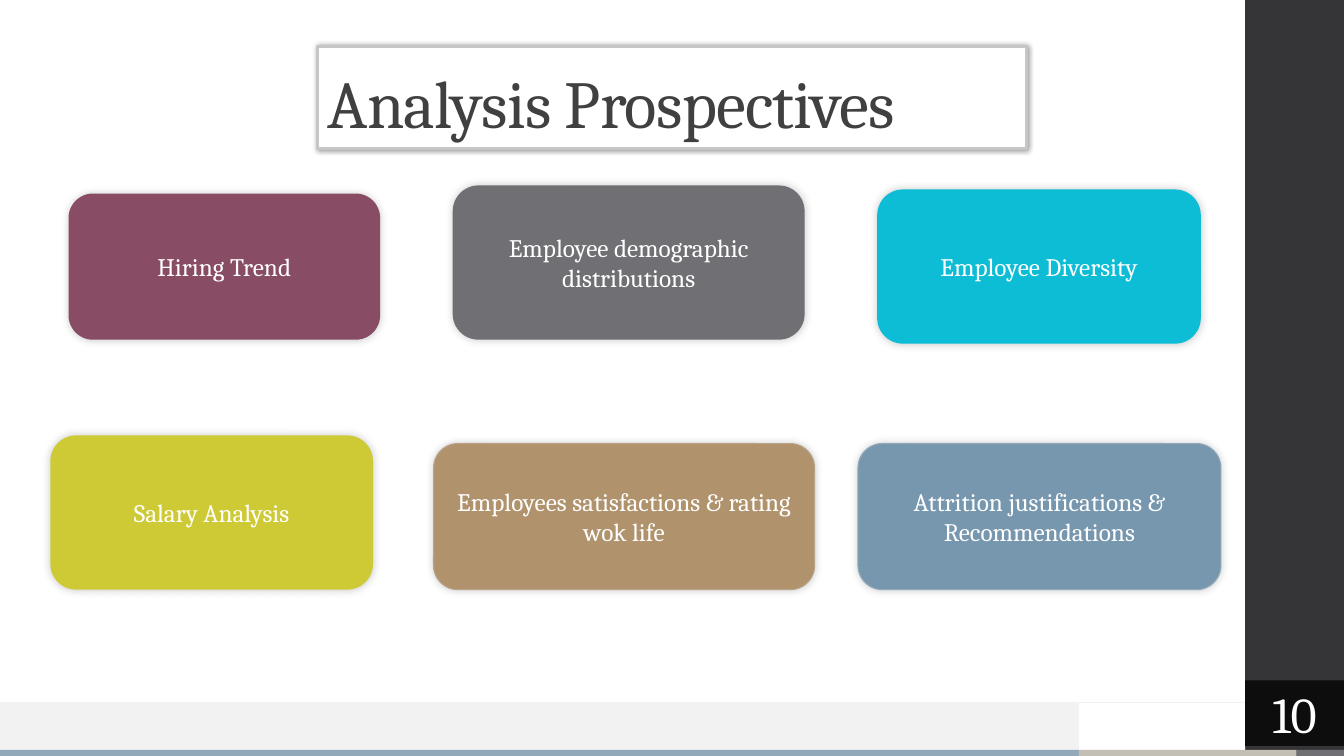
from lxml import etree
from pptx import Presentation, util as u
from pptx.dml.color import RGBColor
from pptx.enum import shapes, text
from pptx.oxml.ns import qn

COLS, ROWS = 133.3, 75  # grid cells of a tenth of an inch
LEFT, CENTER = text.PP_ALIGN.LEFT, text.PP_ALIGN.CENTER
MIDDLE, BOTTOM = text.MSO_ANCHOR.MIDDLE, text.MSO_ANCHOR.BOTTOM


def rgb(color):
    return RGBColor.from_string(color)


def write(p, words, size=18, color="FFFFFF", align=CENTER, leading=None, tracking=0):
    """Add formatted text to a paragraph."""
    p.alignment = align
    if leading:
        p.line_spacing = leading
    r = p.add_run()
    r.text = words
    f = r.font
    f.name, f.size = "Cambria", u.Pt(size)
    f.color.rgb = rgb(color)
    if tracking:
        r._r.get_or_add_rPr().set("spc", str(round(tracking * 100)))


class Deck:
    """Slide style and the current slide."""

    def __init__(self):
        self.prs = Presentation()
        self.prs.slide_width, self.prs.slide_height = u.Inches(13.33), u.Inches(7.5)
        self.s = self.prs.slides.add_slide(self.prs.slide_layouts[5])

    def x(self, cols):
        return round(self.prs.slide_width * cols / COLS)

    def y(self, rows):
        return round(self.prs.slide_height * rows / ROWS)

    def box(self, col, row, w, h):
        return self.x(col), self.y(row), self.x(w), self.y(h)

    def glow(self, sp, alpha, blur):
        """Soft shadow on all sides."""
        spPr = sp._element.spPr
        for old in spPr.findall(qn("a:effectLst")):
            spPr.remove(old)
        effects = etree.SubElement(spPr, qn("a:effectLst"))
        shadow = etree.SubElement(effects, qn("a:outerShdw"), blurRad=str(u.Pt(blur)),
                                  dist="0", dir="18900000", rotWithShape="0")
        clr = etree.SubElement(shadow, qn("a:srgbClr"), val="000000")
        etree.SubElement(clr, qn("a:alpha"), val=str(alpha * 1000))

    def title(self, words, *cells):
        sp = self.s.shapes.title
        sp.left, sp.top, sp.width, sp.height = self.box(*cells)
        sp.fill.solid()
        sp.fill.fore_color.rgb = rgb("FFFFFF")
        sp.line.color.rgb, sp.line.width = rgb("C6C6C6"), u.Pt(2.25)
        self.glow(sp, 40, 4)
        tf = sp.text_frame
        tf.vertical_anchor, tf.auto_size = BOTTOM, text.MSO_AUTO_SIZE.NONE
        write(tf.paragraphs[0], words, size=48, color="404040", align=LEFT,
              leading=0.9, tracking=-0.5)

    def block(self, color, *cells, kind=shapes.MSO_SHAPE.RECTANGLE, line=None):
        sp = self.s.shapes.add_shape(kind, *self.box(*cells))
        sp.shadow.inherit = False
        sp.fill.solid()
        sp.fill.fore_color.rgb = rgb(color)
        if line:
            sp.line.color.rgb, sp.line.width = rgb(line), u.Pt(0.75)
        else:
            sp.line.fill.background()
        return sp

    def label(self, sp, words, **fmt):
        tf = sp.text_frame
        tf.word_wrap, tf.vertical_anchor = True, MIDDLE
        write(tf.paragraphs[0], words, **fmt)

    def card(self, words, color, *cells, line=None):
        sp = self.block(color, *cells, kind=shapes.MSO_SHAPE.ROUNDED_RECTANGLE, line=line)
        self.glow(sp, 20, 6)
        self.label(sp, words)

    def rule(self, color, row):
        ln = self.s.shapes.add_connector(shapes.MSO_CONNECTOR.STRAIGHT, 0, self.y(row),
                                         self.x(COLS), self.y(row))
        ln.line.color.rgb, ln.line.width = rgb(color), u.Pt(0.75)
        etree.SubElement(ln._element.spPr, qn("a:effectLst"))


def main():
    d = Deck()

    # Side panel and footer bands
    d.block("353537", 123.5, 0, 9.8, 75)
    d.block("FFFFFF", 107, 69.7, 16.5, 4.7)
    d.block("F2F2F2", 0, 69.7, 107, 4.7)
    for color, col, w in [("92A9B9", 0, 107), ("C3BFB5", 107, 21.6), ("6F6F74", 128.6, 4.7)]:
        d.block(color, col, 74.4, w, 0.6)
    d.rule("F2F2F2", 69.7)

    # Title and page number
    d.title("Analysis Prospectives", 31.5, 4.6, 70.3, 10.1)
    number = d.block("0D0D0D", 123.5, 67.5, 9.8, 6.5)
    tf = number.text_frame
    tf.margin_left = tf.margin_right = tf.margin_top = tf.margin_bottom = u.Inches(0.05)
    d.label(number, "10", size=36)

    # Topic cards
    d.card("Hiring Trend", "884C64", 6.8, 19.2, 30.9, 14.5)
    d.card("Employee demographic distributions", "6F6F74", 44.9, 18.4, 34.9, 15.3)
    d.card("Employee Diversity", "0DBDD5", 87, 18.8, 32.1, 15.3)
    d.card("Salary Analysis", "CECA36", 5, 43.2, 32, 15.3)
    d.card("Employees satisfactions & rating wok life", "B0926C", 43, 44, 37.8, 14.5,
           line="B9A489")
    d.card("Attrition justifications & Recommendations", "7797AE", 85.1, 44, 36, 14.5,
           line="92A9B9")

    d.prs.save("out.pptx")


if __name__ == "__main__":
    main()
